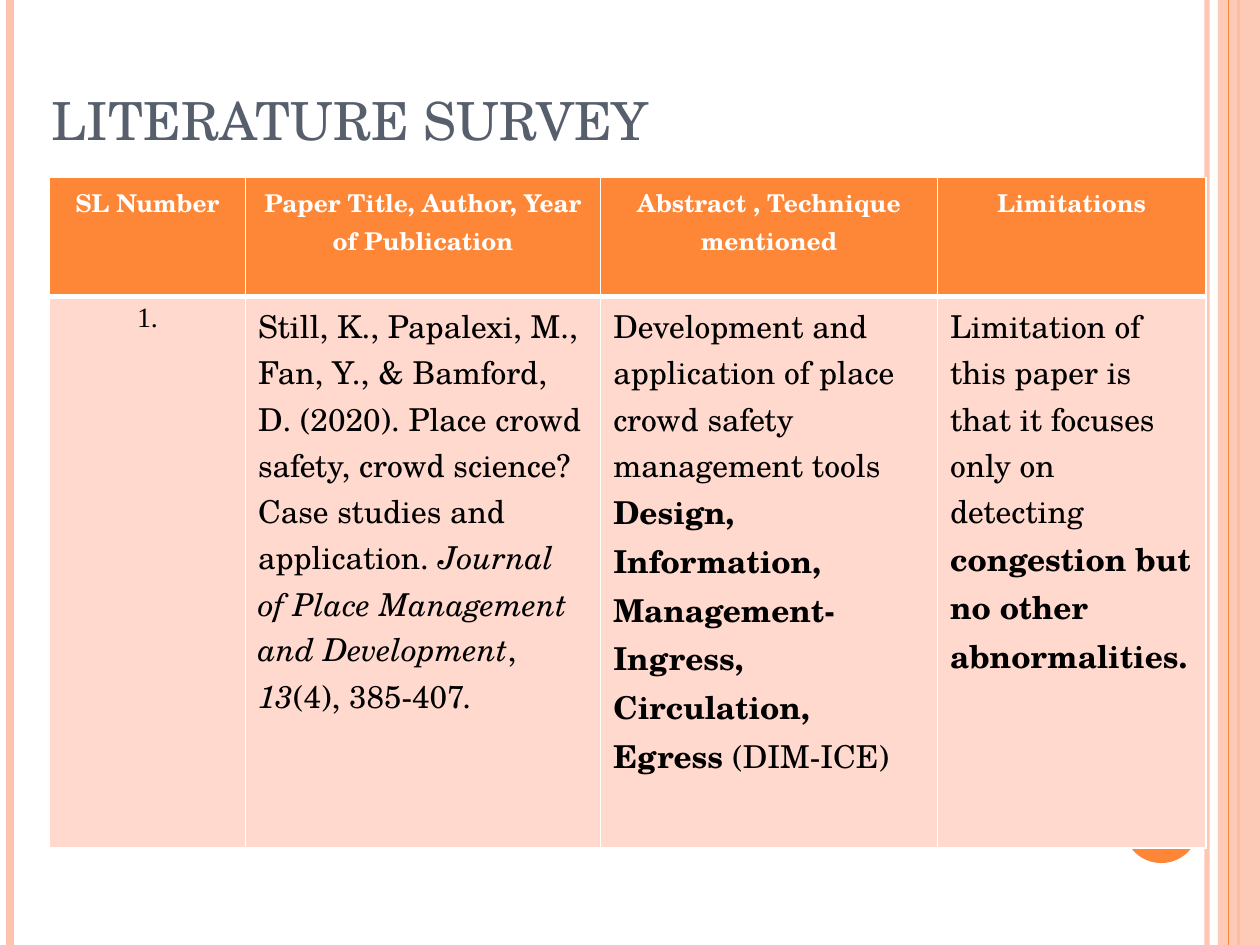
from lxml import etree
from pptx import Presentation
from pptx import util as u
from pptx.dml.color import RGBColor
from pptx.enum import shapes, text
from pptx.oxml import ns

COLORS = {
    "accent": "FE8637", "blush": "FEC3AE", "pale": "FFD9CE",
    "title": "575F6D", "white": "FFFFFF", "black": "000000",
}
SERIF, TIMES = "TeX Gyre Schola", "Times New Roman"
WIDTH, HEIGHT = 720, 540

TITLE = "LITERATURE SURVEY"
HEADERS = ["SL Number", "Paper Title, Author, Year of Publication",
           "Abstract , Technique mentioned", "Limitations"]
# Each body cell is a list of (text, style) spans; style is "", "b" or "i".
PAPER = [
    [("1.", "")],
    [("Still, K., Papalexi, M., Fan, Y., & Bamford, D. (2020). Place crowd safety, "
      "crowd science? Case studies and application. ", ""),
     ("Journal of Place Management and Development", "i"), (", ", ""),
     ("13", "i"), ("(4), 385-407.", "")],
    [("Development and application of place crowd safety management tools ", ""),
     ("Design, Information, Management-Ingress, Circulation, Egress ", "b"),
     ("(DIM-ICE)", "")],
    [("Limitation of this paper is that it focuses only on detecting ", ""),
     ("congestion but no other abnormalities.", "b")],
]
COLUMN_WIDTHS = [112, 203, 192.5, 153.5]
ROW_HEIGHTS = [68, 315]
TABLE_LEFT, TABLE_TOP = 28.25, 101.5

# x, colour, weight, opacity in percent
LEFT_AND_RIGHT_RULES = [(689.75, "blush", 3, 93), (5.75, "blush", 4.5, 100),
                        (707.75, "accent", 1.5, 100)]
INNER_RULE = (702, "accent", 0.75, 100)


def rgb(name):
    return RGBColor.from_string(COLORS[name])


def paint(fill, color, opacity=100):
    fill.solid()
    fill.fore_color.rgb = rgb(color)
    if opacity < 100:
        element = fill._xPr.find(".//" + ns.qn("a:srgbClr"))
        etree.SubElement(element, ns.qn("a:alpha"), val=str(opacity * 1000))


def add_rule(slide, x, color, weight, opacity):
    rule = slide.shapes.add_connector(
        shapes.MSO_CONNECTOR.STRAIGHT, u.Pt(x), 0, u.Pt(x), u.Pt(HEIGHT))
    rule.line.width = u.Pt(weight)
    paint(rule.line.fill, color, opacity)
    etree.SubElement(rule._element.spPr, ns.qn("a:effectLst"))


def add_block(slide, kind, left, top, width, height, color, opacity=100):
    block = slide.shapes.add_shape(
        kind, u.Pt(left), u.Pt(top), u.Pt(width), u.Pt(height))
    block.shadow.inherit = False
    block.line.fill.background()
    paint(block.fill, color, opacity)


def add_decoration(slide):
    for rule in LEFT_AND_RIGHT_RULES:
        add_rule(slide, *rule)
    add_block(slide, shapes.MSO_SHAPE.RECTANGLE, 696, 0, 24, HEIGHT, "blush", 87)
    add_rule(slide, *INNER_RULE)
    add_block(slide, shapes.MSO_SHAPE.OVAL, 642, 450, 43.2, 43.2, "accent")


def set_font(font, size, color, name=SERIF, bold=False):
    font.name, font.size, font.bold = name, u.Pt(size), bold
    font.color.rgb = rgb(color)


def set_borders(cell, top, bottom):
    """Draw white cell borders, 1 pt at the sides."""
    properties = cell._tc.get_or_add_tcPr()
    for tag, weight in (("lnL", 1), ("lnR", 1), ("lnT", top), ("lnB", bottom)):
        line = etree.SubElement(properties, ns.qn("a:" + tag), w=str(u.Pt(weight)))
        fill = etree.SubElement(line, ns.qn("a:solidFill"))
        etree.SubElement(fill, ns.qn("a:srgbClr"), val=COLORS["white"])


def fill_title(slide):
    title = slide.shapes.title
    title.left, title.top = u.Pt(22.5), 0
    title.width, title.height = u.Pt(588), u.Pt(90)
    frame = title.text_frame
    frame.text = TITLE
    frame.auto_size = text.MSO_AUTO_SIZE.NONE
    frame.vertical_anchor = text.MSO_ANCHOR.BOTTOM
    para = frame.paragraphs[0]
    para.alignment = text.PP_ALIGN.LEFT
    set_font(para.font, 30, "title")


def add_survey_table(slide):
    table = slide.shapes.add_table(
        2, len(HEADERS), u.Pt(TABLE_LEFT), u.Pt(TABLE_TOP),
        u.Pt(sum(COLUMN_WIDTHS)), u.Pt(sum(ROW_HEIGHTS))).table
    for column, width in zip(table.columns, COLUMN_WIDTHS):
        column.width = u.Pt(width)
    for row, height in zip(table.rows, ROW_HEIGHTS):
        row.height = u.Pt(height)

    for index, (header, spans) in enumerate(zip(HEADERS, PAPER)):
        head, body = table.cell(0, index), table.cell(1, index)
        set_borders(head, 1, 3)
        set_borders(body, 3, 1)
        paint(head.fill, "accent")
        paint(body.fill, "pale")

        head.text = header
        para = head.text_frame.paragraphs[0]
        para.alignment = text.PP_ALIGN.CENTER
        set_font(para.font, 14, "white", bold=True)

        para = body.text_frame.paragraphs[0]
        if index == 0:
            para.alignment = text.PP_ALIGN.CENTER
            set_font(para.font, 16, "black", TIMES)
        else:
            set_font(para.font, 18, "black")
        for words, style in spans:
            span = para.add_run()
            span.text = words
            if style == "b":
                span.font.bold = True
            elif style == "i":
                span.font.italic = True


def main():
    deck = Presentation()
    deck.slide_width, deck.slide_height = u.Pt(WIDTH), u.Pt(HEIGHT)
    page = deck.slides.add_slide(deck.slide_layouts[5])
    add_decoration(page)
    fill_title(page)
    add_survey_table(page)
    deck.save("out.pptx")


if __name__ == "__main__":
    main()
